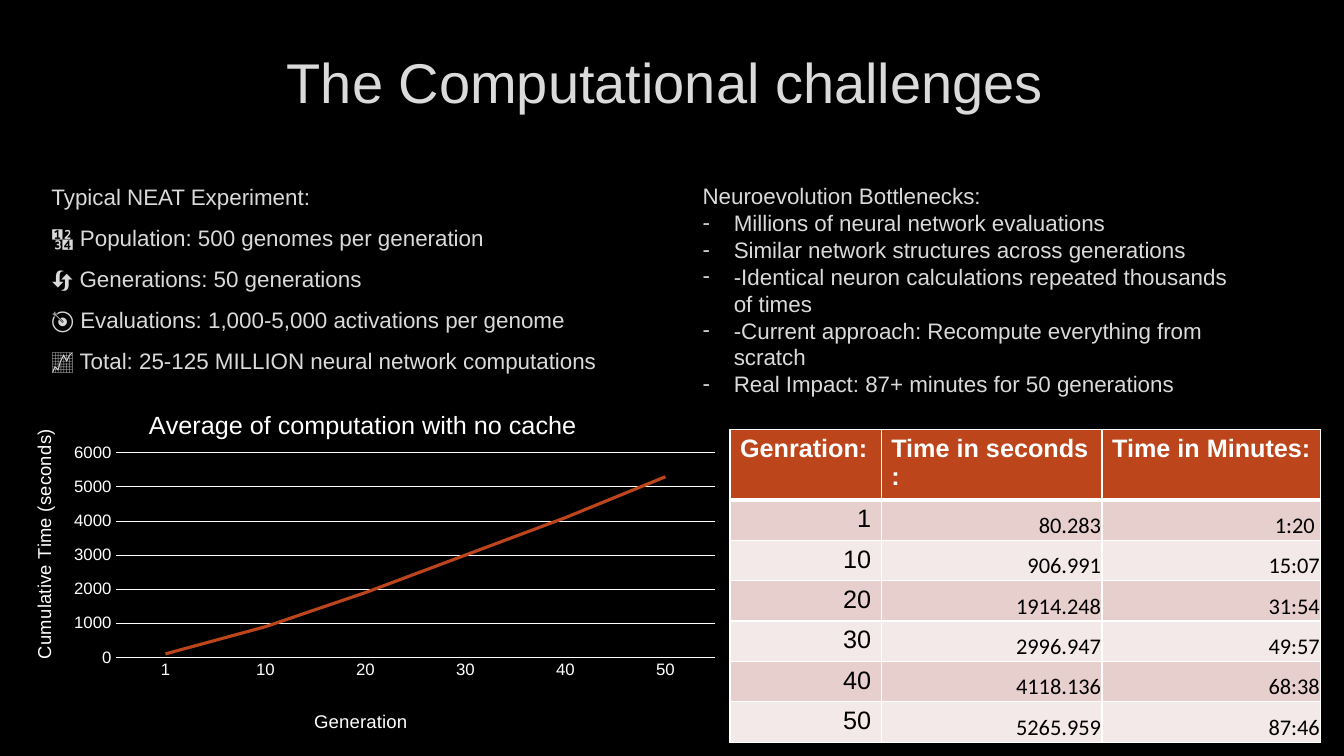
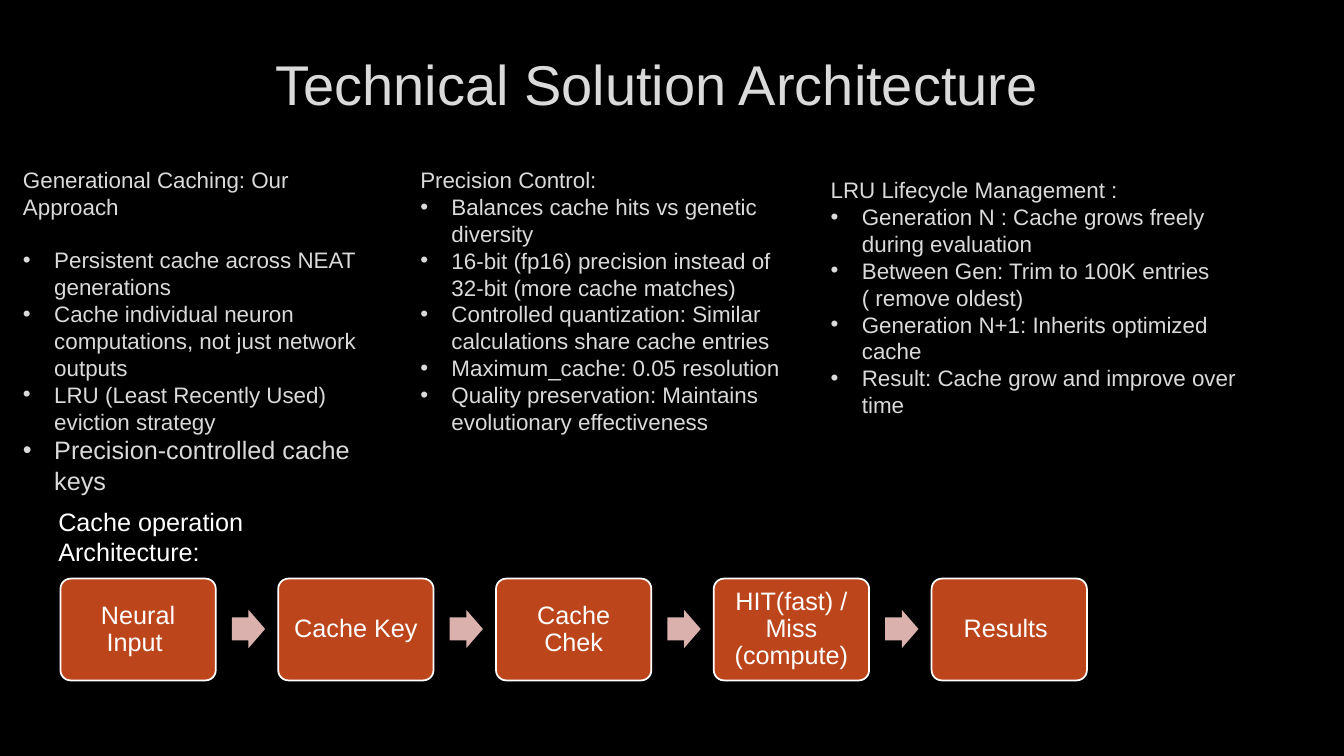
"""Build two slides on caching in neuroevolution."""
from pptx import Presentation
from pptx import oxml
from pptx import util as u
from pptx.chart import data as chart_data
from pptx.dml import color
from pptx.enum import chart as charts, shapes, text
from pptx.oxml import ns

COLORS = {
    "background": "000000",
    "soft": "DADADA",
    "white": "FFFFFF",
    "black": "000000",
    "outline": "404040",
    "accent": "BC451B",
    "arrow": "DAB1AC",
    "odd_row": "E7CFCD",
    "even_row": "F3E9E8",
}
FONT = "Arial"
ALIGN = text.PP_ALIGN
ANCHOR = text.MSO_ANCHOR


def rgb(name):
    """Return the named colour."""
    return color.RGBColor.from_string(COLORS[name])


def make_xml(tag, attributes="", content=""):
    """Return an XML element with the drawing and chart namespaces."""
    return oxml.parse_xml(f'<{tag} {ns.nsdecls("a", "c")} {attributes}>{content}</{tag}>')


def style_font(font, size, tint, name=FONT, bold=False):
    """Set the main properties of a font."""
    font.size, font.name, font.bold = u.Pt(size), name, bold
    font.color.rgb = rgb(tint)


def write_text(para, words, size=16, tint="soft", name=FONT, bold=False, align=ALIGN.LEFT):
    """Write one formatted span into a paragraph and return it."""
    para.alignment = align
    span = para.add_run()
    span.text = words
    style_font(span.font, size, tint, name, bold)
    return span


def place(box, left, top, width, height):
    """Move and size a shape in inches."""
    box.left, box.top = u.Inches(left), u.Inches(top)
    box.width, box.height = u.Inches(width), u.Inches(height)


def set_insets(target, size):
    """Give a frame or cell the same inset on every side."""
    target.margin_left = target.margin_right = u.Inches(size)
    target.margin_top = target.margin_bottom = u.Inches(size)


def set_bullet(para, mark):
    """Give a paragraph a hanging bullet."""
    properties = para._p.get_or_add_pPr()
    properties.set("marL", str(u.Inches(0.31)))
    properties.set("indent", str(-u.Inches(0.31)))
    properties.append(make_xml("a:buFont", f'typeface="{FONT}"'))
    properties.append(make_xml("a:buChar", f'char="{mark}"'))


def add_page(deck, layout, title, left, top):
    """Add a slide with its styled title."""
    page = deck.slides.add_slide(deck.slide_layouts[layout])
    box = page.shapes.title
    place(box, left, top, 11.32, 1.06)
    box.text_frame.vertical_anchor = ANCHOR.MIDDLE
    span = write_text(box.text_frame.paragraphs[0], title, size=40, align=ALIGN.CENTER)
    add_outline(span)
    return page


def add_outline(span):
    """Give a span a faint thin outline."""
    fill = (f'<a:solidFill><a:srgbClr val="{COLORS["outline"]}">'
            '<a:alpha val="10000"/></a:srgbClr></a:solidFill>')
    span.font._element.insert(0, make_xml("a:ln", f'w="{u.Pt(0.75)}"', fill))


def fill_body(page, lines):
    """Fill the body placeholder with unbulleted lines."""
    box = page.placeholders[1]
    place(box, 0.37, 1.77, 5.89, 2)
    frame = box.text_frame
    frame.auto_size = text.MSO_AUTO_SIZE.NONE
    for index, line in enumerate(lines):
        para = frame.add_paragraph() if index else frame.paragraphs[0]
        properties = para._p.get_or_add_pPr()
        properties.set("marL", str(u.Inches(0.04)))
        properties.set("indent", "0")
        properties.append(make_xml("a:buNone"))
        para.space_before, para.space_after = u.Pt(4 if index else 0), u.Pt(6)
        add_outline(write_text(para, line))


def add_text(page, words, left, top, width, height, size=16, tint="soft"):
    """Add a wrapped text box with one paragraph and return its frame."""
    frame = page.shapes.add_textbox(*map(u.Inches, (left, top, width, height))).text_frame
    frame.word_wrap = True
    write_text(frame.paragraphs[0], words, size, tint)
    return frame


def add_list(page, heading, items, left, top, width, height, mark="•", gap=0, last_size=16):
    """Add a text box with a heading and bulleted items."""
    frame = add_text(page, heading, left, top, width, height)
    frame.paragraphs[0].space_after = u.Pt(gap)
    for item in items:
        para = frame.add_paragraph()
        set_bullet(para, mark)
        write_text(para, item, size=last_size if item == items[-1] else 16)


def set_layout(parent, index, target="", **fractions):
    """Place a chart part by fractions of the chart area."""
    for old in parent.findall(ns.qn("c:layout")):
        parent.remove(old)
    modes = "".join(f'<c:{axis}Mode val="edge"/>' for axis in "xy")
    values = "".join(f'<c:{key} val="{value}"/>' for key, value in fractions.items())
    content = f"<c:manualLayout>{target}{modes}{values}</c:manualLayout>"
    parent.insert(index, make_xml("c:layout", content=content))


def title_part(owner, title, words, size, x, y):
    """Write and place a chart or axis title."""
    write_text(title.text_frame.paragraphs[0], words, size, "white", align=ALIGN.CENTER)
    set_layout(title._element, 1, x=x, y=y)


def style_line(line, tint, width):
    """Colour a line and set its width in points."""
    line.color.rgb, line.width = rgb(tint), u.Pt(width)


def add_line_chart(page, categories, values):
    """Add the chart of computation time by generation."""
    data = chart_data.CategoryChartData()
    data.categories = categories
    data.add_series("Series 1", values)
    chart = page.shapes.add_chart(
        charts.XL_CHART_TYPE.LINE, *map(u.Inches, (0.07, 3.84, 7.17, 3.48)), data).chart
    chart.has_legend = False
    style_font(chart.font, 10, "white")
    chart.plots[0].vary_by_categories = False
    series = chart.plots[0].series[0]
    series.smooth = False
    style_line(series.format.line, "accent", 2.25)

    category, value = chart.category_axis, chart.value_axis
    for axis in (category, value):
        style_font(axis.tick_labels.font, 12, "white")
        axis.major_tick_mark = axis.minor_tick_mark = charts.XL_TICK_MARK.NONE
    style_line(category.format.line, "white", 0.75)
    value.format.line.fill.background()
    value.minimum_scale, value.maximum_scale, value.major_unit = 0, 6000, 1000
    style_line(value.major_gridlines.format.line, "white", 0.75)

    title_part(chart, chart.chart_title, "Average of computation with no cache", 18, 0.19, 0.05)
    title_part(category, category.axis_title, "Generation", 13.3, 0.42, 0.92)
    title_part(value, value.axis_title, "Cumulative Time (seconds)", 13.3, 0.03, 0.12)
    plot_area = chart._chartSpace.find(".//" + ns.qn("c:plotArea"))
    set_layout(plot_area, 0, '<c:layoutTarget val="inner"/>', x=0.15, y=0.19, w=0.83, h=0.59)


def set_borders(cell, bottom):
    """Draw white borders around a cell."""
    fill = f'<a:solidFill><a:srgbClr val="{COLORS["white"]}"/></a:solidFill>'
    properties = cell._tc.get_or_add_tcPr()
    for side, width in (("L", 1), ("R", 1), ("T", 1), ("B", bottom)):
        properties.append(make_xml(f"a:ln{side}", f'w="{u.Pt(width)}"', fill))


def add_time_table(page, headings, rows):
    """Add the table of times by generation."""
    widths = (1.5, 2.19, 2.17)
    heights = [0.7] + [0.4] * len(rows)
    frame = page.shapes.add_table(
        len(heights), len(widths),
        *map(u.Inches, (7.24, 4.26, sum(widths), sum(heights))))
    table = frame.table
    for column, width in zip(table.columns, widths):
        column.width = u.Inches(width)
    for row, height in zip(table.rows, heights):
        row.height = u.Inches(height)
    for row_index, entries in enumerate([headings] + rows):
        for column_index, words in enumerate(entries):
            cell = table.cell(row_index, column_index)
            para = cell.text_frame.paragraphs[0]
            set_borders(cell, 1 if row_index else 3)
            cell.fill.solid()
            if row_index == 0:
                cell.fill.fore_color.rgb = rgb("accent")
                write_text(para, words, 18, "white", bold=True)
                continue
            cell.fill.fore_color.rgb = rgb("odd_row" if row_index % 2 else "even_row")
            if column_index == 0:
                write_text(para, words, 18, "black", align=ALIGN.RIGHT)
            else:
                set_insets(cell, 0.01)
                cell.vertical_anchor = ANCHOR.BOTTOM
                write_text(para, words, 16, "black", "Calibri", align=ALIGN.RIGHT)


def add_block(page, kind, left, top, width, height, tint, adjustments):
    """Add a filled preset shape without line or shadow."""
    block = page.shapes.add_shape(kind, *map(u.Inches, (left, top, width, height)))
    block.shadow.inherit = False
    for index, value in enumerate(adjustments):
        block.adjustments[index] = value
    block.fill.solid()
    block.fill.fore_color.rgb = rgb(tint)
    block.line.fill.background()
    return block


def add_flow(page, steps):
    """Add a row of steps joined by block arrows."""
    kinds = shapes.MSO_SHAPE
    for index, step in enumerate(steps):
        left = 0.6 + 2.16 * index
        block = add_block(page, kinds.ROUNDED_RECTANGLE, left, 5.74, 1.54, 1.01, "accent", [0.1])
        style_line(block.line, "white", 1.25)
        frame = block.text_frame
        frame.word_wrap = True
        frame.vertical_anchor = ANCHOR.MIDDLE
        set_insets(frame, 0.1)
        para = frame.paragraphs[0]
        para.line_spacing = 0.9
        write_text(para, step, 18, "white", align=ALIGN.CENTER)
        if index < len(steps) - 1:
            add_block(page, kinds.RIGHT_ARROW, left + 1.7, 6.05, 0.33, 0.38, "arrow", [0.6, 0.5])


def build_challenges(deck):
    """Build the slide on computational challenges."""
    page = add_page(deck, 1, "The Computational challenges ", 1.01, 0.27)
    fill_body(page, [
        "Typical NEAT Experiment:",
        "🔢 Population: 500 genomes per generation",
        "🔄 Generations: 50 generations",
        "🎯 Evaluations: 1,000-5,000 activations per genome",
        "📈 Total: 25-125 MILLION neural network computations"])
    add_list(page, "Neuroevolution Bottlenecks:", [
        "Millions of neural network evaluations",
        "Similar network structures across generations",
        "-Identical neuron calculations repeated thousands of times",
        "-Current approach: Recompute everything from scratch",
        "Real Impact: 87+ minutes for 50 generations"], 6.87, 1.76, 5.46, 2.26, mark="-")
    rows = [("1", "80.283", "1:20 "), ("10", "906.991", "15:07"), ("20", "1914.248", "31:54"),
            ("30", "2996.947", "49:57"), ("40", "4118.136", "68:38"), ("50", "5265.959", "87:46")]
    add_line_chart(page, [row[0] for row in rows], [100, 900, 1900, 3000, 4100, 5300])
    add_time_table(page, ("Genration:", "Time in seconds :", "Time in Minutes:"), rows)


def build_architecture(deck):
    """Build the slide on the solution architecture."""
    page = add_page(deck, 5, "Technical Solution Architecture", 0.85, 0.29)
    add_list(page, "Generational Caching: Our Approach", [
        "Persistent cache across NEAT generations",
        "Cache individual neuron computations, not just network outputs",
        "LRU (Least Recently Used) eviction strategy",
        "Precision-controlled cache keys"], 0.13, 1.6, 3.8, 3.1, gap=19, last_size=18)
    add_list(page, "Precision Control:", [
        "Balances cache hits vs genetic diversity",
        "16-bit (fp16) precision instead of 32-bit (more cache matches)",
        "Controlled quantization: Similar calculations share cache entries",
        "Maximum_cache: 0.05 resolution",
        "Quality preservation: Maintains evolutionary effectiveness"], 4.07, 1.6, 3.83, 3.1)
    add_list(page, "LRU Lifecycle Management :", [
        "Generation N : Cache grows freely during evaluation",
        "Between Gen: Trim to 100K entries ( remove oldest)",
        "Generation N+1: Inherits optimized cache",
        "Result: Cache grow and improve over time"], 8.14, 1.7, 4.49, 2.52)
    add_text(page, "Cache operation Architecture:", 0.48, 4.97, 3.2, 0.7, 18, "white")
    add_flow(page, ["Neural Input ", "Cache Key", "Cache Chek",
                    "HIT(fast) / Miss (compute)", "Results "])


def main():
    """Build and save the deck."""
    deck = Presentation()
    deck.slide_width, deck.slide_height = u.Inches(13.33), u.Inches(7.5)
    fill = deck.slide_master.background.fill
    fill.solid()
    fill.fore_color.rgb = rgb("background")
    build_challenges(deck)
    build_architecture(deck)
    deck.save("out.pptx")


if __name__ == "__main__":
    main()
